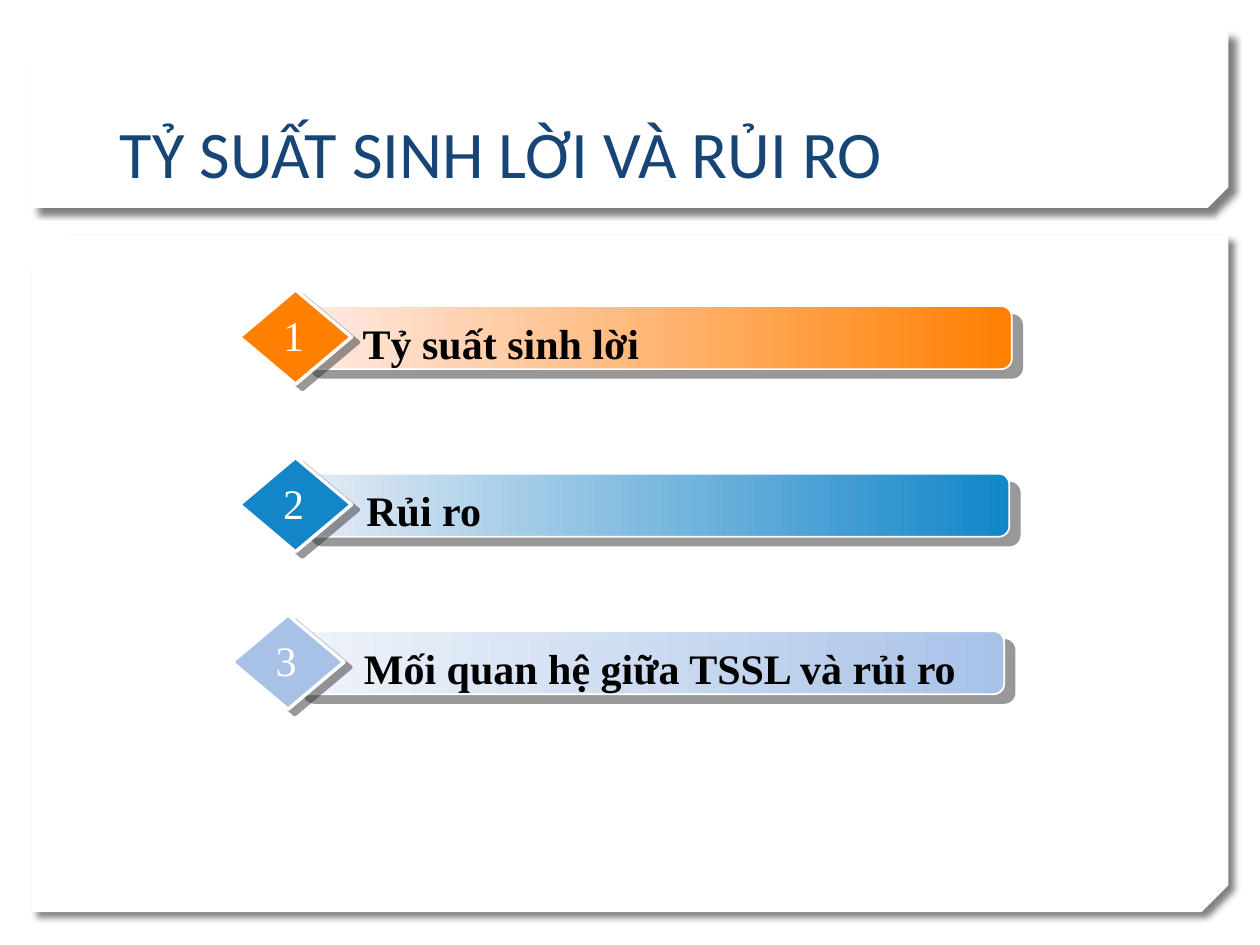
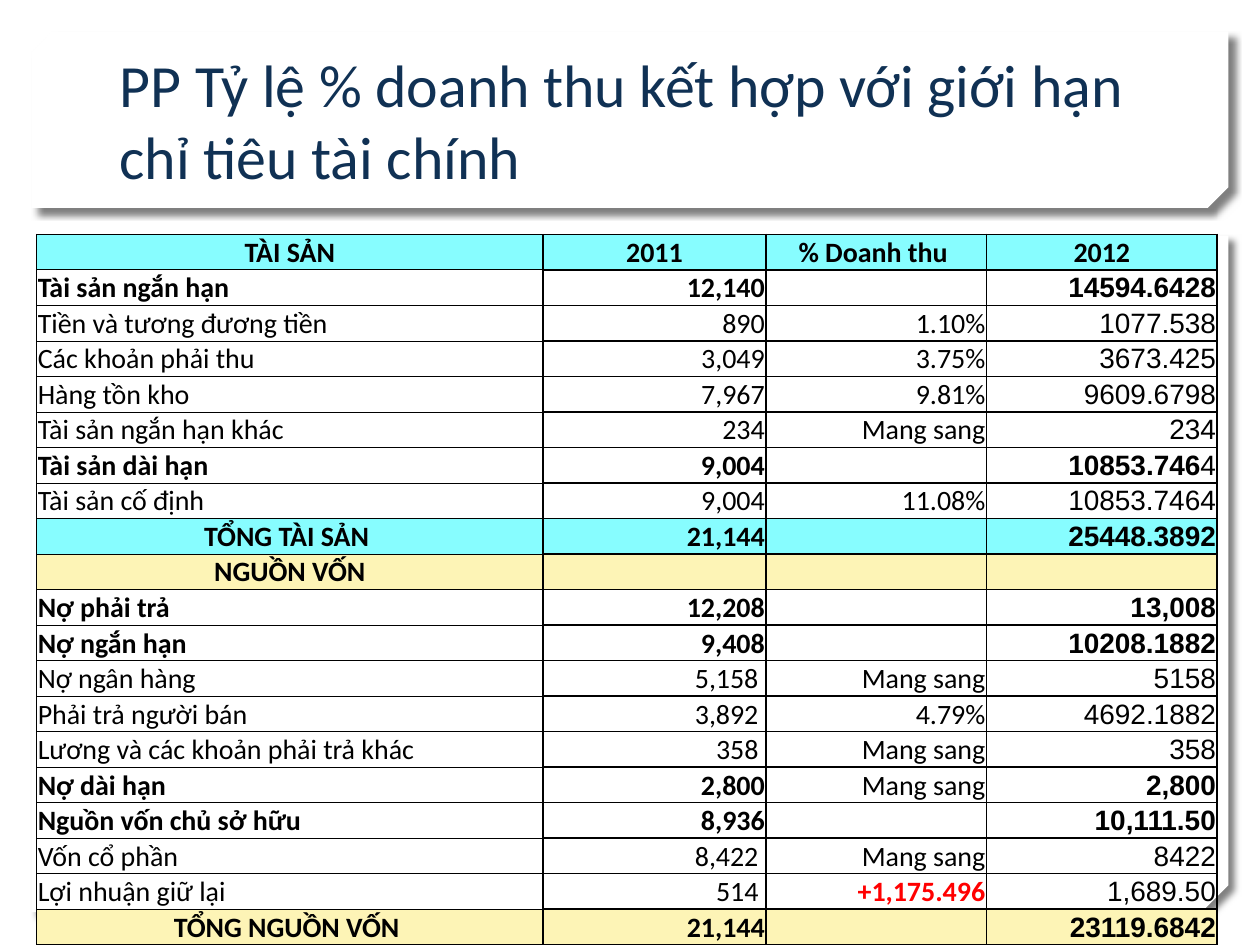
from dataclasses import dataclass

from lxml import etree
from pptx import Presentation
from pptx.dml.color import RGBColor
from pptx.enum import shapes, text
from pptx.oxml import ns
from pptx.util import Inches, Pt


@dataclass(frozen=True)
class Theme:
    white: str = "FFFFFF"
    black: str = "000000"
    red: str = "FF0000"
    cyan: str = "87FDFF"
    cream: str = "FDF4B6"
    item_shadow: str = "333333"
    agenda_title: str = "174576"
    table_title: str = "103154"
    heading_font: str = "Calibri"
    item_font: str = "Times New Roman"
    number_font: str = "Arial"
    agenda_title_size: float = 38
    table_title_size: float = 34.2
    item_size: float = 24
    cell_size: float = 16


THEME = Theme()
SHAPE = shapes.MSO_SHAPE
ALIGN = text.PP_ALIGN

PANELS = [((0.25, 0.25, 9.5, 1.4), 0.117), ((0.25, 1.87, 9.5, 5.37), 0.04)]

AGENDA = [
    ("Tỷ suất sinh lời", 2.39, 2.43, 2.78, 5.64, "FFEBE6", "FF7F01"),
    ("Rủi ro", 2.39, 3.76, 2.81, 5.62, "E6ECF5", "1286C9"),
    ("Mối quan hệ giữa TSSL và rủi ro", 2.33, 5.01, 2.79, 5.64, "F0F4FA", "A8C2E7"),
]

COLUMN_WIDTHS = [4.02, 1.77, 1.75, 1.83]
ROW_HEIGHT = 0.28
CARRIED = "Mang sang"
INCREASE = "+1,175.496"

BALANCE_SHEET = [
    ("header", "TÀI SẢN", "2011", "% Doanh thu\u00a0", "2012"),
    ("group", "Tài sản ngắn hạn", "12,140", "", "14594.6428"),
    ("item", "Tiền và tương đương tiền", "890", "1.10%", "1077.538"),
    ("item", "Các khoản phải thu", "3,049", "3.75%", "3673.425"),
    ("item", "Hàng tồn kho", "7,967", "9.81%", "9609.6798"),
    ("item", "Tài sản ngắn hạn khác", "234", CARRIED, "234"),
    ("group", "Tài sản dài hạn", "9,004", "", ("10853.746", "4")),
    ("item", "Tài sản cố định", "9,004", "11.08%", "10853.7464"),
    ("assets", "TỔNG TÀI SẢN ", "21,144", "", "25448.3892"),
    ("capital", "NGUỒN VỐN", "", "", ""),
    ("group", "Nợ phải trả", "12,208", "", "13,008"),
    ("group", "Nợ ngắn hạn", "9,408", "", "10208.1882"),
    ("item", "Nợ ngân hàng", " 5,158 ", CARRIED, "5158"),
    ("item", "Phải trả người bán", " 3,892 ", "4.79%", "4692.1882"),
    ("item", "Lương và các khoản phải trả khác", " 358 ", CARRIED, "358"),
    ("group", "Nợ dài hạn", "2,800", CARRIED, "2,800"),
    ("group", "Nguồn vốn chủ sở hữu", "8,936", "", "10,111.50"),
    ("item", "Vốn cổ phần", " 8,422 ", CARRIED, "8422"),
    ("item", "Lợi nhuận giữ lại", " 514 ", INCREASE, "1,689.50"),
    ("capital", "TỔNG NGUỒN VỐN ", "21,144", "", "23119.6842"),
]

ROW_FILLS = {"header": THEME.cyan, "assets": THEME.cyan, "capital": THEME.cream}


def rgb(value):
    return RGBColor.from_string(value)


def add_xml(parent, tag, **attributes):
    return etree.SubElement(parent, ns.qn(tag), attributes)


class SlideBuilder:
    def __init__(self, deck, theme):
        self.deck = deck
        self.theme = theme
        self.layout = deck.slide_layouts[5]
        self.page = None

    def new_page(self):
        self.page = self.deck.slides.add_slide(self.layout)

    def style_font(self, font, name, size, color, bold=False):
        font.name = name
        font.size = Pt(size)
        font.bold = bold
        font.color.rgb = rgb(color)

    def title(self, wording, size, color):
        box = self.page.shapes.title
        box.left, box.top, box.width, box.height = map(Inches, (0.85, 0.32, 8.29, 1.25))
        frame = box.text_frame
        frame.text = wording
        frame.auto_size = text.MSO_AUTO_SIZE.NONE
        frame.vertical_anchor = text.MSO_ANCHOR.BOTTOM
        para = frame.paragraphs[0]
        para.alignment = ALIGN.LEFT
        self.style_font(para.font, self.theme.heading_font, size, color)

    def shape(self, parent, kind, place, fill, shadow, line_width=0):
        shape = parent.add_shape(kind, *map(Inches, place))
        if isinstance(fill, tuple):
            shape.fill.gradient()
            shape.fill.gradient_angle = 0
            for stop, color in zip(shape.fill.gradient_stops, fill):
                stop.color.rgb = rgb(color)
        else:
            shape.fill.solid()
            shape.fill.fore_color.rgb = rgb(fill)
        if line_width:
            shape.line.color.rgb = rgb(self.theme.white)
            shape.line.width = Pt(line_width)
        else:
            shape.line.fill.background()
        self.shadow(shape, *shadow)
        return shape

    def shadow(self, shape, color, blur, distance, angle):
        shape.shadow.inherit = False
        effects = shape.element.spPr.find(ns.qn("a:effectLst"))
        outer = add_xml(effects, "a:outerShdw", blurRad=str(Pt(blur)), dist=str(Pt(distance)),
                        dir=str(angle * 60000), algn="tl", rotWithShape="0")
        tone = add_xml(outer, "a:srgbClr", val=color)
        add_xml(tone, "a:alpha", val="50000")

    def layout_panel(self, place, snip, number):
        panel = self.shape(self.page.shapes, SHAPE.SNIP_2_DIAG_RECTANGLE, place,
                           self.theme.white, (self.theme.black, 4, 5, 45))
        panel.adjustments[0] = 0
        panel.adjustments[1] = snip
        panel.element.spPr.xfrm.set("flipV", "1")
        panel.element.nvSpPr.cNvPr.set("id", str(100 + number))
        self.layout.shapes.element.insert(2, panel.element)

    def label(self, parent, wording, place, color, bold=False, centred=False):
        box = parent.add_textbox(*map(Inches, place))
        frame = box.text_frame
        frame.word_wrap = not centred
        frame.text = wording
        para = frame.paragraphs[0]
        para.alignment = ALIGN.CENTER if centred else ALIGN.LEFT
        self.style_font(para.font, self.theme.item_font, self.theme.item_size, color, bold)

    def agenda_item(self, number, wording, left, top, label_left, width, pale, strong):
        group = self.page.shapes.add_group_shape().shapes
        tone = self.theme.item_shadow
        self.shape(group, SHAPE.ROUNDED_RECTANGLE, (left, top, width, 0.5),
                   (pale, strong), (tone, 0, 7.8, 40), 1)
        self.shape(group, SHAPE.DIAMOND, (left - 0.49, top - 0.13, 0.89, 0.75),
                   strong, (tone, 0, 5, 37), 2)
        self.label(group, wording, (label_left, top + 0.04, 5.23, 0.5),
                   self.theme.black, bold=True)
        self.label(group, str(number), (left - 0.29, top - 0.02, 0.46, 0.5),
                   self.theme.white, centred=True)

    def table(self, left, top, widths, row_height, rows):
        frame = self.page.shapes.add_table(
            len(rows), len(widths), Inches(left), Inches(top),
            Inches(sum(widths)), Inches(row_height * len(rows)))
        grid = frame.table
        grid.first_row = grid.horz_banding = False
        for column, width in zip(grid.columns, widths):
            column.width = Inches(width)
        for row_index, (kind, *values) in enumerate(rows):
            grid.rows[row_index].height = Inches(row_height)
            for column_index, value in enumerate(values):
                self.cell(grid.cell(row_index, column_index), kind, column_index, value)

    def cell(self, cell, kind, column, value):
        cell.margin_left = cell.margin_right = cell.margin_top = Inches(0.01)
        cell.margin_bottom = 0
        cell.vertical_anchor = text.MSO_ANCHOR.MIDDLE
        self.borders(cell, column)
        if kind in ROW_FILLS:
            cell.fill.solid()
            cell.fill.fore_color.rgb = rgb(ROW_FILLS[kind])
        else:
            cell.fill.background()

        para = cell.text_frame.paragraphs[0]
        if kind == "header" or (column == 0 and kind in ROW_FILLS):
            para.alignment = ALIGN.CENTER
        else:
            para.alignment = ALIGN.RIGHT if column else ALIGN.LEFT
        name = self.theme.number_font if column == 3 and kind != "header" else self.theme.heading_font
        bold = value == INCREASE or (kind != "item" and value != CARRIED)
        color = self.theme.red if value == INCREASE else self.theme.black
        self.style_font(para.font, name, self.theme.cell_size, color, bold)

        if isinstance(value, tuple):
            for part, part_bold in zip(value, (True, False)):
                span = para.add_run()
                span.text = part
                span.font.bold = part_bold
        elif value:
            para.add_run().text = value
        else:
            add_xml(para._p, "a:endParaRPr", sz=str(self.theme.cell_size * 100))

    def borders(self, cell, column):
        properties = cell._tc.get_or_add_tcPr()
        for side in "LRTB":
            width = 0.5 if column == 0 and side != "R" else 1
            line = add_xml(properties, f"a:ln{side}", w=str(Pt(width)))
            fill = add_xml(line, "a:solidFill")
            add_xml(fill, "a:srgbClr", val=self.theme.black)


def main():
    deck = Presentation()
    deck.slide_width, deck.slide_height = Inches(10), Inches(7.5)
    builder = SlideBuilder(deck, THEME)

    builder.new_page()
    for number, (place, snip) in enumerate(PANELS):
        builder.layout_panel(place, snip, number)
    builder.title("TỶ SUẤT SINH LỜI VÀ RỦI RO", THEME.agenda_title_size, THEME.agenda_title)
    for number, item in enumerate(AGENDA, start=1):
        builder.agenda_item(number, *item)

    builder.new_page()
    builder.title("PP Tỷ lệ % doanh thu kết hợp với giới hạn chỉ tiêu tài chính",
                  THEME.table_title_size, THEME.table_title)
    builder.table(0.29, 1.86, COLUMN_WIDTHS, ROW_HEIGHT, BALANCE_SHEET)

    deck.save("out.pptx")


if __name__ == "__main__":
    main()
